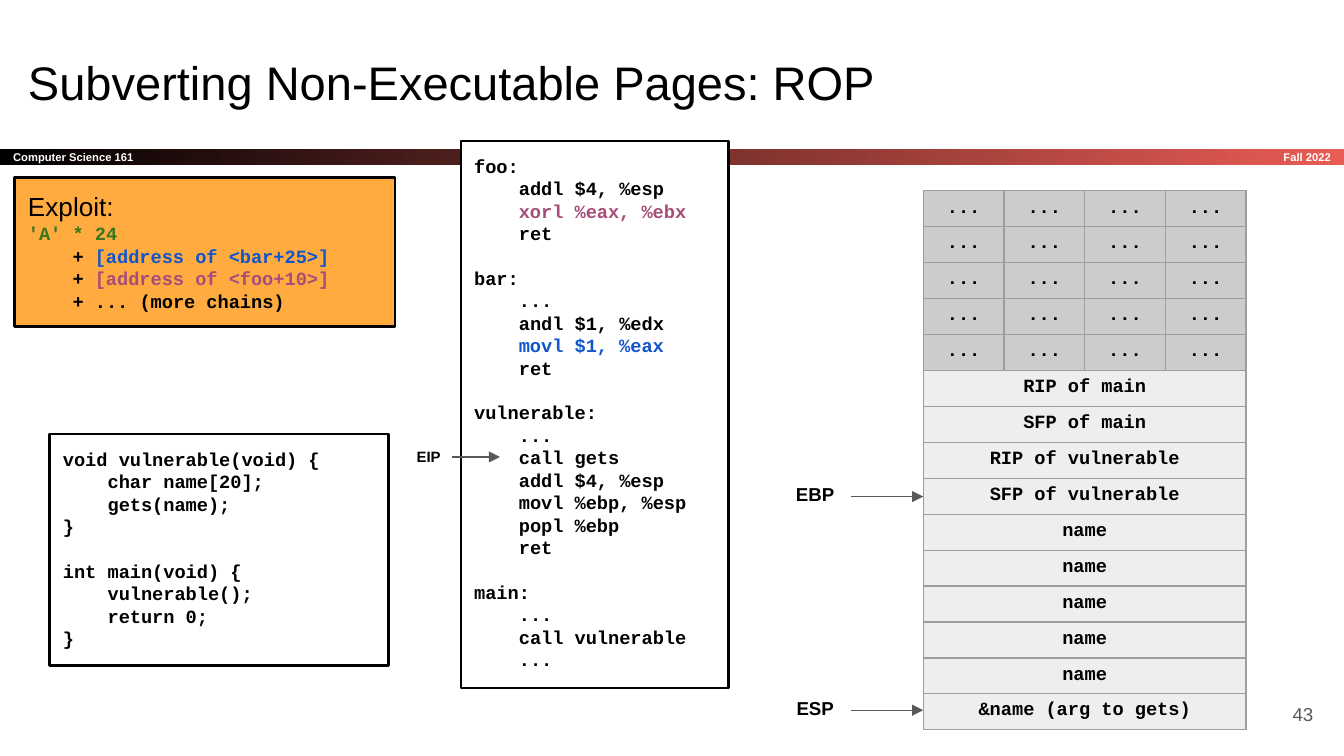
from lxml import etree
from pptx import Presentation
from pptx.dml.color import RGBColor
from pptx.enum.shapes import MSO_CONNECTOR as CONN, MSO_SHAPE as SHAPE
from pptx.enum.text import MSO_ANCHOR as ANCHOR, PP_ALIGN as ALIGN
from pptx.oxml import parse_xml
from pptx.oxml.ns import qn
from pptx.util import Inches, Pt

BLACK, WHITE, GREY = "000000", "FFFFFF", "595959"
BLUE, PURPLE, GREEN = "1155CC", "A64D79", "38761D"

EXPLOIT = """\
'A' * 24
    + [address of <bar+25>]
    + [address of <foo+10>]
    + ... (more chains)"""

ASSEMBLY = """\
foo:
    addl $4, %esp
    xorl %eax, %ebx
    ret

bar:
    ...
    andl $1, %edx
    movl $1, %eax
    ret

vulnerable:
    ...
    call gets
    addl $4, %esp
    movl %ebp, %esp
    popl %ebp
    ret

main:
    ...
    call vulnerable
    ..."""

SOURCE = """\
void vulnerable(void) {
    char name[20];
    gets(name);
}

int main(void) {
    vulnerable();
    return 0;
}"""

HIGHLIGHTS = {
    "'A' * 24": GREEN,
    "[address of <bar+25>]": BLUE,
    "[address of <foo+10>]": PURPLE,
    "xorl %eax, %ebx": PURPLE,
    "movl $1, %eax": BLUE,
}
SOFT_BREAK_AFTER = {"'A' * 24", "    call gets"}

FRAMES = ["RIP of main", "SFP of main", "RIP of vulnerable", "SFP of vulnerable",
          *["name"] * 5, "&name (arg to gets)"]
STACK = [["..."] * 4] * 5 + [[frame] for frame in FRAMES]


def rgb(color):
    return RGBColor.from_string(color)


def add_run(p, text, size=10, font="Arial", color=BLACK, bold=False):
    r = p.add_run()
    r.text = text
    r.font.size, r.font.name, r.font.bold = Pt(size), font, bold
    r.font.color.rgb = rgb(color)


def set_margins(target, inset):
    """Give a text frame or a table cell the same margin on all sides."""
    target.margin_left = target.margin_right = Inches(inset)
    target.margin_top = target.margin_bottom = Inches(inset)


class Deck:
    """Holds the look of the slide and draws each kind of element on it."""
    mono = "Courier New"
    code_gap = Pt(12)
    line_width = Pt(0.75)
    cell_border = "9E9E9E"

    def __init__(self, width, height):
        self.prs = Presentation()
        self.prs.slide_width, self.prs.slide_height = Inches(width), Inches(height)
        self.s = self.prs.slides.add_slide(self.prs.slide_layouts[6])

    def text(self, box, text, align=ALIGN.LEFT, anchor=ANCHOR.TOP, inset=0.1, **fmt):
        tf = self.s.shapes.add_textbox(*map(Inches, box)).text_frame
        self.fill_frame(tf, text, align, anchor, inset, **fmt)

    def fill_frame(self, tf, text, align, anchor, inset, **fmt):
        tf.word_wrap, tf.vertical_anchor = True, anchor
        set_margins(tf, inset)
        p = tf.paragraphs[0]
        p.alignment = align
        add_run(p, text, **fmt)

    def rect(self, box):
        sp = self.s.shapes.add_shape(SHAPE.RECTANGLE, *map(Inches, box))
        sp.shadow.inherit = False
        return sp

    def gradient_bar(self, box, text, start, end, **fmt):
        sp = self.rect(box)
        sp.fill.gradient()
        sp.fill.gradient_angle = 0
        for stop, color in zip(sp.fill.gradient_stops, (start, end)):
            stop.color.rgb = rgb(color)
        sp.line.fill.background()
        self.fill_frame(sp.text_frame, text, ALIGN.LEFT, ANCHOR.MIDDLE, 0.1, **fmt)

    def code(self, box, code, fill=WHITE, heading=None):
        """Draw a framed listing; a blank line becomes space before the next one."""
        sp = self.rect(box)
        sp.fill.solid()
        sp.fill.fore_color.rgb = rgb(fill)
        sp.line.color.rgb, sp.line.width = rgb(BLACK), Pt(1.5)
        tf = sp.text_frame
        tf.word_wrap, tf.vertical_anchor = True, ANCHOR.TOP
        set_margins(tf, 0.1)
        p = tf.paragraphs[0]
        if heading:
            p.alignment = ALIGN.LEFT
            add_run(p, heading, size=14)
        previous = heading
        for line in code.split("\n"):
            if line:
                if previous in SOFT_BREAK_AFTER:
                    p.add_line_break()
                elif previous is not None:
                    p = tf.add_paragraph()
                if previous == "":
                    p.space_before = self.code_gap
                p.alignment = ALIGN.LEFT
                self.code_line(p, line)
            previous = line

    def code_line(self, p, line):
        term = next((t for t in HIGHLIGHTS if t in line), line)
        for part in line.partition(term):
            if part:
                add_run(p, part, font=self.mono, bold=True,
                        color=HIGHLIGHTS.get(part, BLACK))

    def arrow(self, x1, x2, y):
        line = self.s.shapes.add_connector(CONN.STRAIGHT, *map(Inches, (x1, y, x2, y)))
        line.line.color.rgb, line.line.width = rgb(GREY), self.line_width
        etree.SubElement(line.line._get_or_add_ln(), qn("a:tailEnd"), type="triangle")
        etree.SubElement(line._element.spPr, qn("a:effectLst"))

    def register(self, box, name, arrow_end, size=10, inset=0.1):
        """Label a register and point an arrow from the label to its target."""
        left, top, width, height = box
        self.text(box, name, ALIGN.CENTER, inset=inset, size=size, bold=True)
        self.arrow(left + width, arrow_end, top + height / 2)

    def stack(self, box, rows, columns=4):
        """Draw the rows; a row with a single entry spans all columns."""
        table = self.s.shapes.add_table(len(rows), columns, *map(Inches, box)).table
        for i, row in enumerate(rows):
            for j in range(columns):
                self.style_cell(table.cell(i, j), "EEEEEE" if len(row) == 1 else "CCCCCC")
            if len(row) == 1:
                table.cell(i, 0).merge(table.cell(i, columns - 1))
            for j, text in enumerate(row):
                p = table.cell(i, j).text_frame.paragraphs[0]
                p.alignment = ALIGN.CENTER
                add_run(p, text, font=self.mono, bold=True)

    def style_cell(self, cell, fill):
        set_margins(cell, 0.05)
        tc_pr = cell._tc.get_or_add_tcPr()
        for side in "LRTB":
            tc_pr.append(parse_xml(
                f'<a:ln{side} xmlns:a="http://schemas.openxmlformats.org/drawingml/2006/main"'
                f' w="{self.line_width}"><a:solidFill><a:srgbClr val="{self.cell_border}"/>'
                f'</a:solidFill></a:ln{side}>'))
        cell.fill.solid()
        cell.fill.fore_color.rgb = rgb(fill)


def main():
    width = 10
    deck = Deck(width, width * 9 / 16)
    deck.gradient_bar((0, 1.11, width, 0.12), "Computer Science 161", BLACK, "E85C54",
                      size=6, color=WHITE, bold=True)
    deck.text((8.34, 1.11, 1.66, 0.12), "Fall 2022", ALIGN.RIGHT, ANCHOR.MIDDLE,
              size=6, color=WHITE, bold=True)
    deck.text((0.11, 0.3, 9.32, 0.63), "Subverting Non-Executable Pages: ROP", size=25.2)

    stack_left = 6.87
    for name, top in (("EBP", 3.51), ("ESP", 5.1)):
        deck.register((5.8, top, 0.53, 0.37), name, stack_left)
    deck.stack((stack_left, 1.42, 2.4, 4), STACK)

    deck.code((0.11, 1.32, 2.83, 1.11), EXPLOIT, fill="FFAB40", heading="Exploit:")
    deck.code((3.43, 1.05, 1.99, 4.07), ASSEMBLY)
    deck.register((3.02, 3.28, 0.34, 0.24), "EIP", 3.72, size=8, inset=0.05)
    deck.code((0.37, 3.23, 2.52, 1.72), SOURCE)

    deck.text((9.27, 5.1, 0.6, 0.43), "43", ALIGN.RIGHT, ANCHOR.MIDDLE, color=GREY)
    deck.prs.save("out.pptx")


if __name__ == "__main__":
    main()
